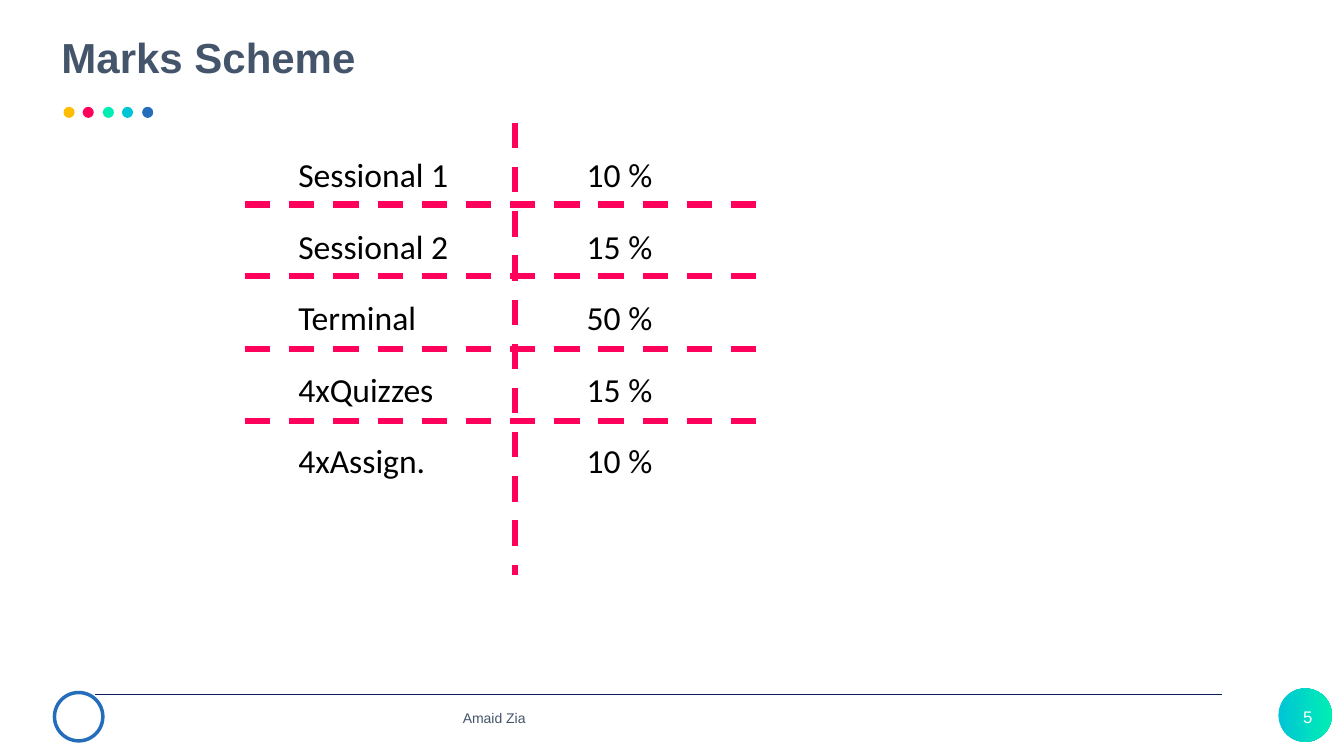
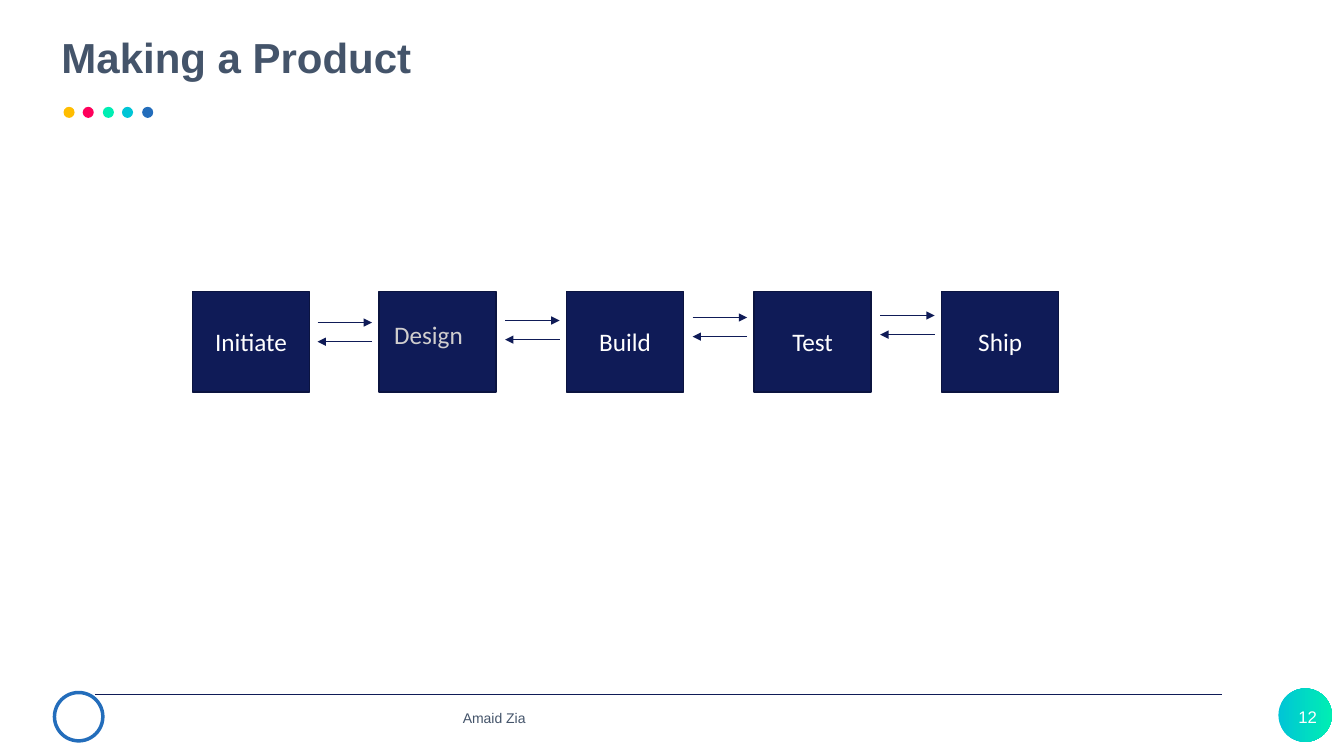
from lxml.etree import SubElement
from pptx import Presentation
from pptx.dml.color import RGBColor
from pptx.enum.dml import MSO_LINE
from pptx.enum.shapes import MSO_CONNECTOR, MSO_SHAPE
from pptx.enum.text import MSO_ANCHOR, MSO_AUTO_SIZE, PP_ALIGN
from pptx.oxml.ns import qn
from pptx.util import Emu, Pt

PX = 9144
COLORS = {name: RGBColor.from_string(value) for name, value in {
    "slate": "44546A", "navy": "0F1B57", "edge": "0B1440", "yellow": "FFBD00",
    "pink": "FF005B", "mint": "00EEB3", "cyan": "00C5D6", "blue": "236DBB",
    "grey": "D0CECE", "black": "000000", "white": "FFFFFF",
}.items()}


def write(shape, words, size, font, color, align=PP_ALIGN.LEFT, anchor=MSO_ANCHOR.TOP):
    frame = shape.text_frame
    frame.word_wrap = True
    frame.auto_size = MSO_AUTO_SIZE.NONE
    frame.vertical_anchor = anchor
    para = frame.paragraphs[0]
    para.text = words
    para.alignment = align
    para.font.size = Pt(size)
    para.font.name = font
    para.font.color.rgb = COLORS[color]
    return frame


def draw_line(page, start_x, start_y, end_x, end_y, color, width):
    line = page.shapes.add_connector(
        MSO_CONNECTOR.STRAIGHT, *[Emu(n * PX) for n in (start_x, start_y, end_x, end_y)])
    line.line.color.rgb = COLORS[color]
    line.line.width = Pt(width)
    SubElement(line.element.spPr, qn("a:effectLst"))
    return line


deck = Presentation()
deck.slide_width = Emu(1333 * PX)
deck.slide_height = Emu(750 * PX)

pages = []
for heading, number in (("Marks Scheme", "5"), ("Making a Product", "12")):
    page = deck.slides.add_slide(deck.slide_layouts[5])
    pages.append(page)

    title = page.shapes.title
    title.left, title.top, title.width, title.height = [Emu(n * PX) for n in (51, 26, 1232, 60)]
    title_frame = write(title, heading, 30, "Arial", "slate", anchor=MSO_ANCHOR.MIDDLE)
    title_frame.paragraphs[0].font.bold = True

    for index, color in enumerate(("yellow", "pink", "mint", "cyan", "blue")):
        dot = page.shapes.add_shape(
            MSO_SHAPE.OVAL, *[Emu(n * PX) for n in (63 + 39 * index // 2, 106, 11, 11)])
        dot.shadow.inherit = False
        dot.fill.solid()
        dot.fill.fore_color.rgb = COLORS[color]
        dot.line.fill.background()

    draw_line(page, 94, 689, 1212, 689, "navy", 0.5)

    emblem = page.shapes.add_shape(MSO_SHAPE.OVAL, *[Emu(n * PX) for n in (54, 687, 48, 48)])
    emblem.shadow.inherit = False
    emblem.fill.solid()
    emblem.fill.fore_color.rgb = COLORS["white"]
    emblem.line.color.rgb = COLORS["blue"]
    emblem.line.width = Pt(2.5)

    author = page.shapes.add_textbox(*[Emu(n * PX) for n in (455, 700, 71, 25)])
    author_frame = write(author, "Amaid Zia", 10, "Arial", "slate")
    author_frame.word_wrap = False
    author_frame.margin_left = author_frame.margin_right = Emu(4 * PX)
    author_frame.margin_top = author_frame.margin_bottom = Emu(4 * PX)

    badge = page.shapes.add_shape(MSO_SHAPE.OVAL, *[Emu(n * PX) for n in (1268, 683, 53, 53)])
    badge.shadow.inherit = False
    badge.fill.gradient()
    badge.fill.gradient_angle = 0
    for stop, color in zip(badge.fill.gradient_stops, ("cyan", "mint")):
        stop.color.rgb = COLORS[color]
    badge.line.fill.background()
    number_box = page.shapes.add_textbox(*[Emu(n * PX) for n in (1266, 691, 62, 40)])
    write(number_box, number, 12, "Arial", "white", PP_ALIGN.CENTER, MSO_ANCHOR.MIDDLE)

marks_page, product_page = pages

marks = (("Sessional 1", "10 %"), ("Sessional 2", "15 %"), ("Terminal", "50 %"),
         ("4xQuizzes", "15 %"), ("4xAssign.", "10 %"))
for row, cells in enumerate(marks):
    for words, left, width in zip(cells, (286, 572), (341, 172)):
        box = marks_page.shapes.add_textbox(
            *[Emu(n * PX) for n in (left, 148 + 71 * row, width, 50)])
        write(box, words, 24, "Calibri", "black")

rules = [(511, 122, 511, 570)]
for row in range(len(marks) - 1):
    height = 203 + 215 * row // 3
    rules.append((243, height, 760, height))
for ends in rules:
    rule = draw_line(marks_page, *ends, "pink", 4.5)
    rule.line.dash_style = MSO_LINE.DASH

stages = ("Initiate", "Design", "Build", "Test", "Ship")
for index, stage in enumerate(stages):
    left = 191 + 743 * index // 4
    box = product_page.shapes.add_shape(
        MSO_SHAPE.RECTANGLE, *[Emu(n * PX) for n in (left, 289, 116, 100)])
    box.shadow.inherit = False
    box.fill.solid()
    box.fill.fore_color.rgb = COLORS["navy"]
    box.line.color.rgb = COLORS["edge"]
    box.line.width = Pt(1)
    if stage == "Design":
        label = product_page.shapes.add_textbox(*[Emu(n * PX) for n in (381, 312, 108, 71)])
        write(label, stage, 18, "Calibri", "grey")
    else:
        write(box, stage, 18, "Calibri", "white", PP_ALIGN.CENTER, MSO_ANCHOR.MIDDLE)

for index in range(len(stages) - 1):
    left = 315 + 186 * index
    right = left + 54
    height = 320 - 5 * index // 2
    for ends in ((left, height, right, height), (right, height + 19, left, height + 19)):
        arrow = draw_line(product_page, *ends, "navy", 0.5)
        SubElement(arrow.line._get_or_add_ln(), qn("a:tailEnd"), type="triangle")

deck.save("out.pptx")
